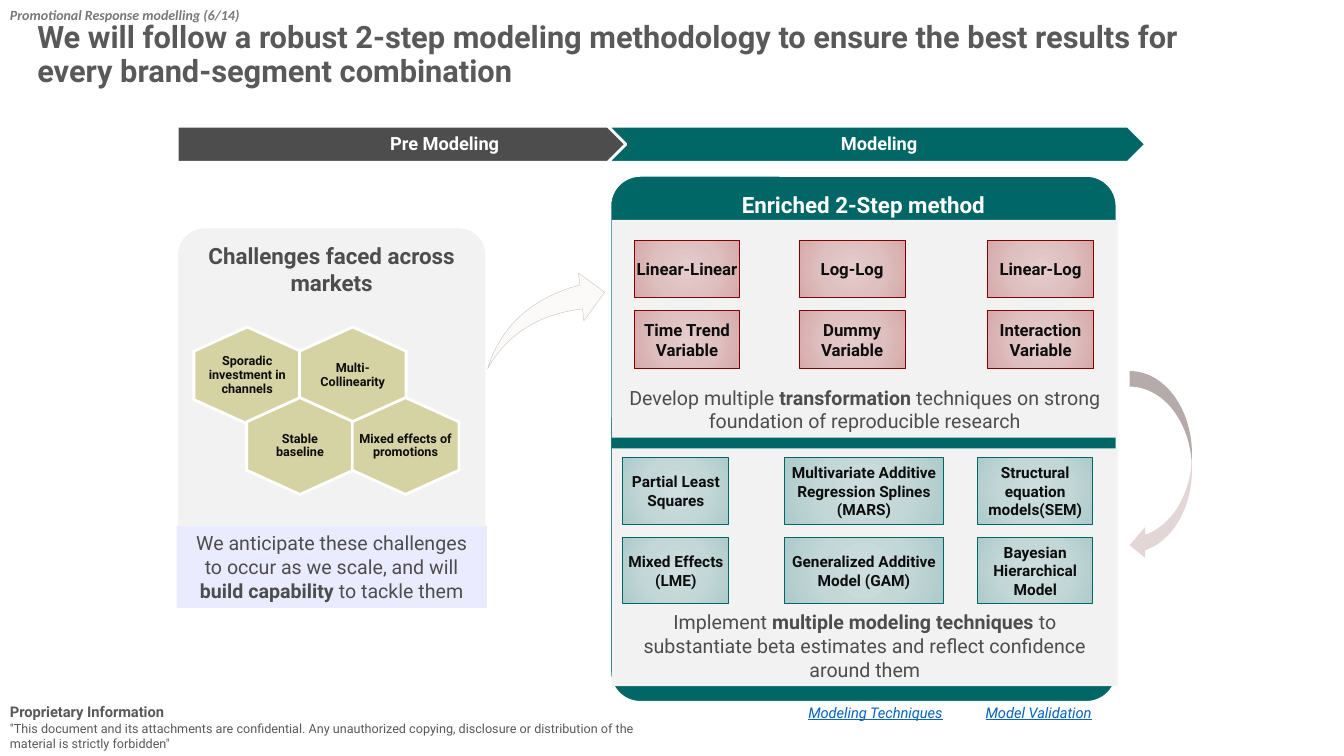
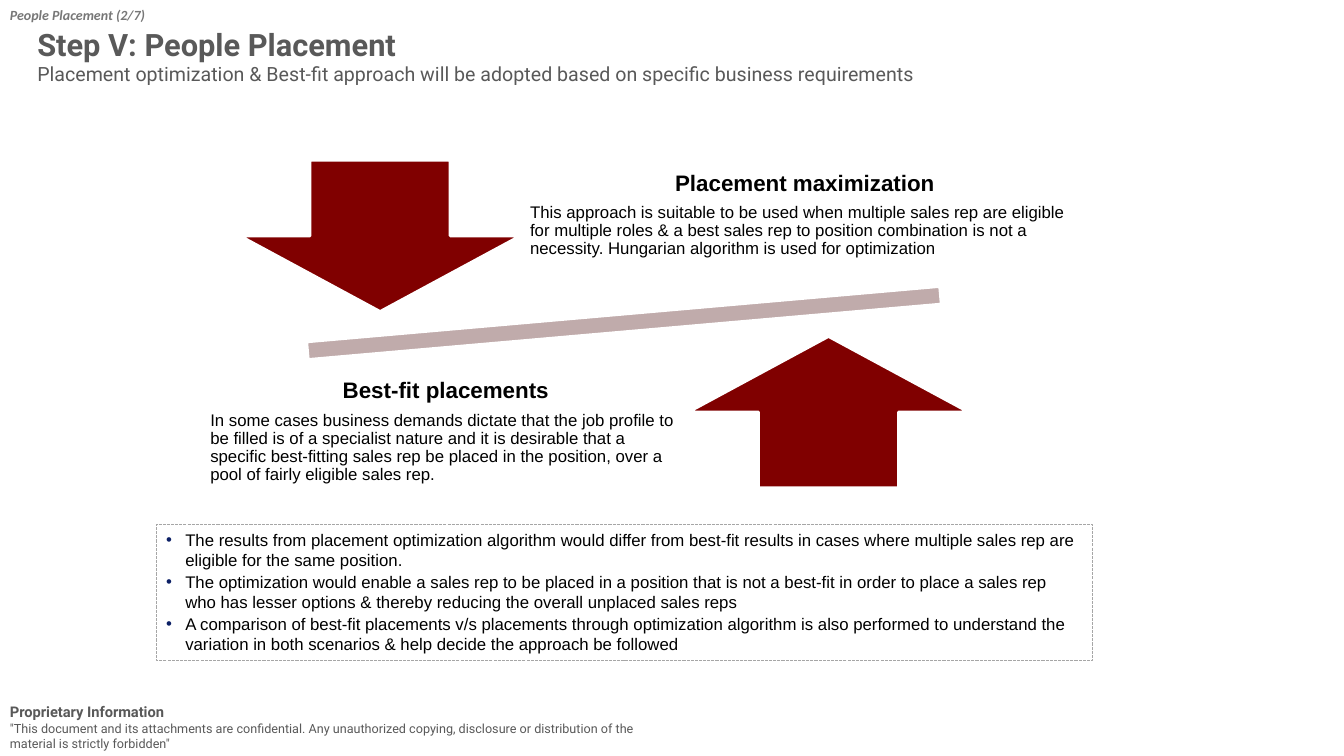
from lxml import etree
from pptx import Presentation
from pptx import util as u
from pptx.dml import color
from pptx.enum import dml, shapes, text
from pptx.oxml import ns

KIND = shapes.MSO_SHAPE
SIDE = {"l": text.PP_ALIGN.LEFT, "c": text.PP_ALIGN.CENTER}
SPOT = {"t": text.MSO_ANCHOR.TOP, "m": text.MSO_ANCHOR.MIDDLE, "b": text.MSO_ANCHOR.BOTTOM}
WHITE, BLACK, INK, GREY = "FFFFFF", "000000", "0D0D0D", "595959"
SLATE, PALE, TEAL, RED = "4D4D4D", "F2F2F2", "006666", "800000"
SAND, LILAC, ROSE, BLUE = "D5D3A3", "EBEBFF", "C0ABAB", "0563C1"
PINK = ("E5CCCC", "DFC0C0", "D7AAAA", "D6A2A2")
MINT = ("CFDEDE", "C3D7D7", "AFCBCB", "A8C8C8")
SLIM = (0.13, 0.13, 0.13, 0.13)


def tint(code):
    return color.RGBColor.from_string(code)


def glow(shape, codes):
    shape.fill.background()
    old = shape.fill._xPr.find(ns.qn("a:noFill"))
    fill = etree.Element(ns.qn("a:gradFill"), rotWithShape="1")
    stops = etree.SubElement(fill, ns.qn("a:gsLst"))
    for pos, code in zip((0, 50000, 97000, 100000), codes):
        stop = etree.SubElement(stops, ns.qn("a:gs"), pos=str(pos))
        etree.SubElement(stop, ns.qn("a:srgbClr"), val=code)
    ring = etree.SubElement(fill, ns.qn("a:path"), {"path": "circle"})
    etree.SubElement(ring, ns.qn("a:fillToRect"), l="50000", t="50000", r="50000", b="50000")
    old.getparent().replace(old, fill)


def draw(slide, kind, area, fill=None, edge=None, thick=2, turn=0, bend=()):
    shape = slide.shapes.add_shape(kind, *map(u.Cm, area))
    shape.shadow.inherit = False
    shape.rotation = turn
    for i, part in enumerate(bend):
        shape.adjustments[i] = part
    if isinstance(fill, tuple):
        glow(shape, fill)
    elif fill:
        shape.fill.solid()
        shape.fill.fore_color.rgb = tint(fill)
    else:
        shape.fill.background()
    if edge:
        shape.line.color.rgb = tint(edge)
        shape.line.width = u.Pt(thick)
    else:
        shape.line.fill.background()
    return shape


def dot(para, code):
    props = para._p.get_or_add_pPr()
    props.set("marL", str(u.Cm(0.48)))
    props.set("indent", str(-u.Cm(0.48)))
    hue = etree.SubElement(props, ns.qn("a:buClr"))
    etree.SubElement(hue, ns.qn("a:srgbClr"), val=code)
    etree.SubElement(props, ns.qn("a:buFont"), typeface="Arial")
    etree.SubElement(props, ns.qn("a:buChar"), char="•")


def write(shape, paras, hue, face="Roboto", side="l", spot="t",
          pad=(0.25, 0.13, 0.25, 0.13), lead=None, gap=0, mark=None, wrap=True):
    frame = shape.text_frame
    frame.word_wrap = wrap
    frame.vertical_anchor = SPOT[spot]
    frame.margin_left, frame.margin_top, frame.margin_right, frame.margin_bottom = map(u.Cm, pad)
    for i, runs in enumerate(paras):
        para = frame.add_paragraph() if i else frame.paragraphs[0]
        para.alignment = SIDE[side[i % len(side)]]
        if lead:
            para.line_spacing = lead
        if gap and i:
            para.space_before = u.Pt(gap)
        if mark:
            dot(para, mark)
        for words, size, look in runs:
            run = para.add_run()
            run.text = words
            font = run.font
            font.name, font.size = face, u.Pt(size)
            font.bold, font.italic, font.underline = ("b" in look, "i" in look, "u" in look)
            font.color.rgb = tint(hue)


def label(slide, area, paras, hue, **style):
    write(slide.shapes.add_textbox(*map(u.Cm, area)), paras, hue, **style)


def start(deck, topic, title, lead=None):
    slide = deck.slides.add_slide(deck.slide_layouts[6])
    label(slide, (0, 17.58, 16.93, 1.47), [
        [("Proprietary Information", 10.5, "b")],
        [('"This document and its attachments are confidential. Any unauthorized copying, '
          'disclosure or distribution of the material is strictly forbidden"', 9, "")]], GREY)
    label(slide, (0.69, 0.45, 30.91, 1.9), title, GREY, spot="m", lead=lead)
    label(slide, (0, 0.03, 8, 0.68), [[(topic, 10, "bi")]], "777777", face="Calibri")
    return slide


def phases(slide, left, top):
    wide, high, step = 13.56, 0.91, 10.85
    steps = (("Pre Modeling", KIND.PENTAGON, SLATE, 0, 13.34),
             ("Modeling", KIND.CHEVRON, TEAL, 0.46, 12.62))
    for i, (name, kind, fill, shift, room) in enumerate(steps):
        spot = left + i * step
        draw(slide, kind, (spot, top, wide, high), fill, WHITE)
        label(slide, (spot + shift, top, room, high), [[(name, 13, "b")]], WHITE,
              side="c", spot="m", pad=(0.18, 0.1, 0.05, 0.1), lead=0.9)


def hive(slide, left, top):
    wide, high, pitch, drop = 2.44, 2.69, 2.66, 1.78
    cells = (("Sporadic investment in channels", 2.69), ("Multi- Collinearity", 2.11),
             ("Stable baseline", 2.11), ("Mixed effects of promotions", 2.69))
    for i, (name, room) in enumerate(cells):
        row, col = divmod(i, 2)
        midx = left + pitch * (col + row / 2)
        midy = top + drop * row
        draw(slide, KIND.HEXAGON, (midx - wide / 2, midy - high / 2, wide, high),
             SAND, WHITE, turn=90)
        label(slide, (midx - room / 2, midy - 0.81, room, 1.62), [[(name, 9, "b")]], INK,
              side="c", spot="m", pad=SLIM, lead=0.9)


def hurdles(slide, left, top):
    wide, high, base = 7.82, 9.6, 2.06
    card = draw(slide, KIND.ROUNDED_RECTANGLE, (left, top, wide, high), PALE, WHITE, bend=(0.09,))
    write(card, [[("Challenges faced across markets", 16, "b")]], SLATE,
          side="c", pad=(0.1, 0.18, 0.1, 0.18))
    hive(slide, left + 1.78, top + 3.74)
    note = draw(slide, KIND.RECTANGLE, (left, top + high - base, wide, base), LILAC)
    write(note, [[("We anticipate these challenges to occur as we scale, and will ", 14, ""),
                  ("build capability", 14, "b"), (" to tackle them", 14, "")]], SLATE, side="c")


def stage(slide, area, claim, grid, cell, fill, edge, size):
    left, top = area[:2]
    write(draw(slide, KIND.RECTANGLE, area, PALE), [claim], SLATE, side="c", spot="b")
    first, high, pitch = cell
    for shift, wide, names in grid:
        for row, name in enumerate(names):
            tile = draw(slide, KIND.RECTANGLE,
                        (left + shift, top + first + row * pitch, wide, high), fill, edge, 0.75)
            write(tile, [[(name, size, "b")]], INK, side="c", spot="m", pad=SLIM,
                  wrap=" " in name)


def method(slide, left, top):
    wide = 12.75
    panel = draw(slide, KIND.ROUNDED_RECTANGLE, (left, top, 12.78, 13.28), TEAL, WHITE,
                 bend=(0.06,))
    write(panel, [[("Enriched 2-Step method", 16, "b")]], WHITE, side="c",
          pad=(0.1, 0.18, 0.1, 0.18))
    stage(slide, (left + 0.05, top + 1.12, wide, 5.49),
          [("Develop multiple ", 14, ""), ("transformation", 14, "b"),
           (" techniques on strong foundation of reproducible research", 14, "")],
          ((0.56, 2.67, ("Linear-Linear", "Time Trend Variable")),
           (4.72, 2.67, ("Log-Log", "Dummy Variable")),
           (9.47, 2.67, ("Linear-Log", "Interaction Variable"))),
          (0.51, 1.45, 1.78), PINK, RED, 12)
    stage(slide, (left + 0.05, top + 6.88, wide, 5.99),
          [("Implement ", 14, ""), ("multiple modeling techniques ", 14, "b"),
           ("to substantiate beta estimates and reflect confidence around them", 14, "")],
          ((0.28, 2.67, ("Partial Least Squares", "Mixed Effects (LME)")),
           (4.35, 4.01, ("Multivariate Additive Regression Splines (MARS)",
                         "Generalized Additive Model (GAM)")),
           (9.22, 2.9, ("Structural equation models(SEM)", "Bayesian Hierarchical Model"))),
          (0.23, 1.68, 2.01), MINT, TEAL, 11)
    for shift, name in ((4.75, "Modeling Techniques"), (9.22, "Model Validation")):
        label(slide, (left + shift, top + 13.18, 4.4, 0.71), [[(name, 10.5, "iu")]], BLUE)


def seesaw(slide, left, top):
    draw(slide, KIND.MATH_MINUS, (left, top + 3.76, 21.79, 1.9), ROSE, WHITE, turn=355)
    sides = (
        (KIND.DOWN_ARROW, 1.22, 0.61, 8.23, 0, 14.45, "Placement maximization",
         "This approach is suitable to be used when multiple sales rep are eligible for multiple "
         "roles & a best sales rep to position combination is not a necessity. Hungarian "
         "algorithm is used for optimization"),
        (KIND.UP_ARROW, 12.52, 5.05, 0.17, 5.46, 12.47, "Best-fit placements",
         "In some cases business demands dictate that the job profile to be filled is of a "
         "specialist nature and it is desirable that a specific best-fitting sales rep be placed "
         "in the position, over a pool of fairly eligible sales rep."))
    for kind, tipx, tipy, textx, texty, wide, head, body in sides:
        draw(slide, kind, (left + tipx, top + tipy, 7.06, 3.81), RED, WHITE)
        label(slide, (left + textx, top + texty, wide, 3.99),
              [[(head, 16, "b")], [(body, 12, "")]], BLACK, face="Arial", side="cl", spot="m",
              pad=(0.3, 0.3, 0.3, 0.3), lead=0.9, gap=5.6)


def remarks(slide, area):
    points = (
        "The results from placement optimization algorithm would differ from best-fit results in "
        "cases where multiple sales rep are eligible for the same position.",
        "The optimization would enable a sales rep to be placed in a position that is not a "
        "best-fit in order to place a sales rep who has lesser options & thereby reducing the "
        "overall unplaced sales reps",
        "A comparison of best-fit placements v/s placements through optimization algorithm is "
        "also performed to understand the variation in both scenarios & help decide the approach "
        "be followed")
    box = draw(slide, KIND.RECTANGLE, area, edge="A6A6A6", thick=0.75)
    box.line.dash_style = dml.MSO_LINE.SQUARE_DOT
    write(box, [[(point, 12, "")] for point in points], BLACK, face="Arial",
          gap=1.2, mark="0B1F65")


def model(deck):
    slide = start(deck, "Promotional Response modelling (6/14)", [
        [("We will follow a robust 2-step modeling methodology to ensure the best results for "
          "every brand-segment combination", 22, "b")]], 0.9)
    hurdles(slide, 4.45, 5.72)
    method(slide, 15.37, 4.42)
    draw(slide, KIND.SWOOSH_ARROW, (12.29, 6.88, 2.95, 2.41), "FCF9F9", "C8C0C0", 0.25,
         bend=(0.25, 0.26))
    draw(slide, KIND.CURVED_LEFT_ARROW, (28.47, 9.35, 1.57, 4.78), "E3D6D6")
    phases(slide, 4.47, 3.18)


def people(deck):
    slide = start(deck, "People Placement (2/7)", [
        [("Step V: People Placement", 22, "b")],
        [("Placement optimization & Best-fit approach will be adopted based on specific "
          "business requirements", 14, "")]])
    seesaw(slide, 4.83, 3.43)
    remarks(slide, (3.94, 13.21, 23.6, 3.43))


def main():
    deck = Presentation()
    deck.slide_width, deck.slide_height = u.Cm(33.87), u.Cm(19.05)
    model(deck)
    people(deck)
    deck.save("out.pptx")


if __name__ == "__main__":
    main()
